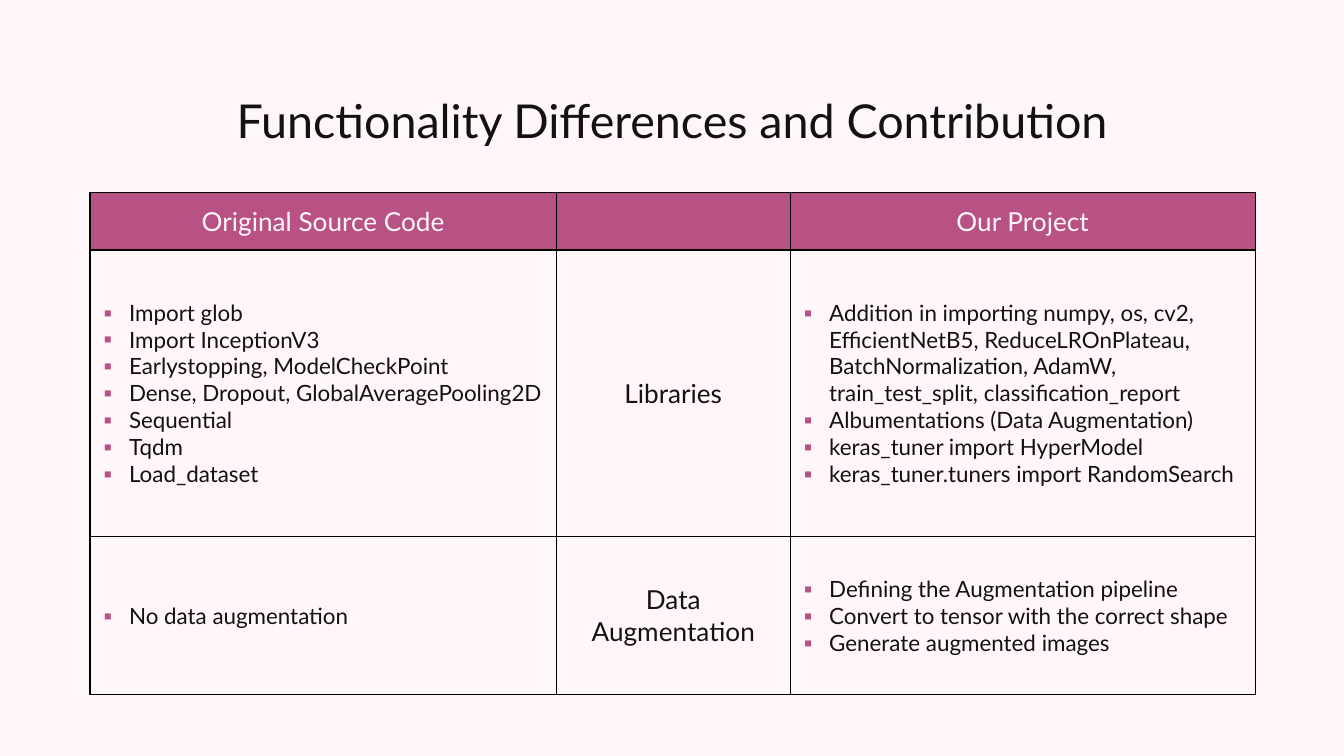
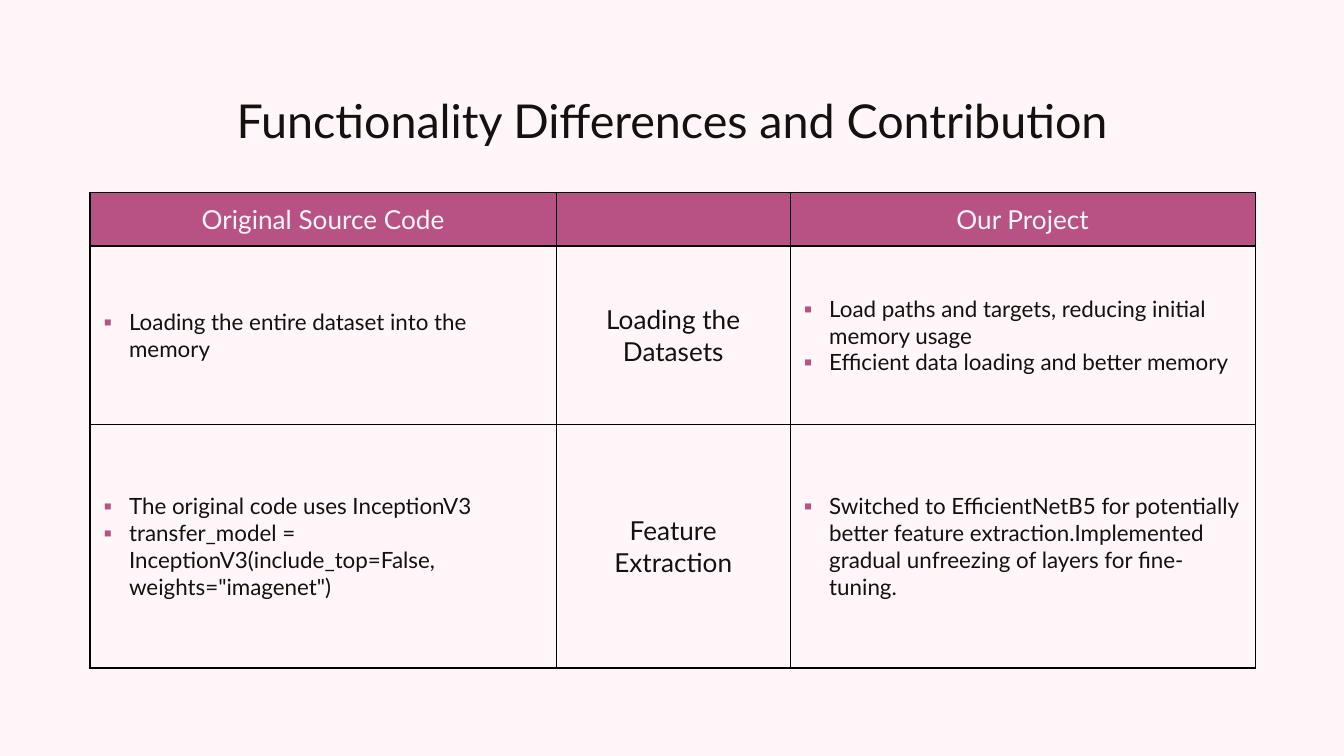
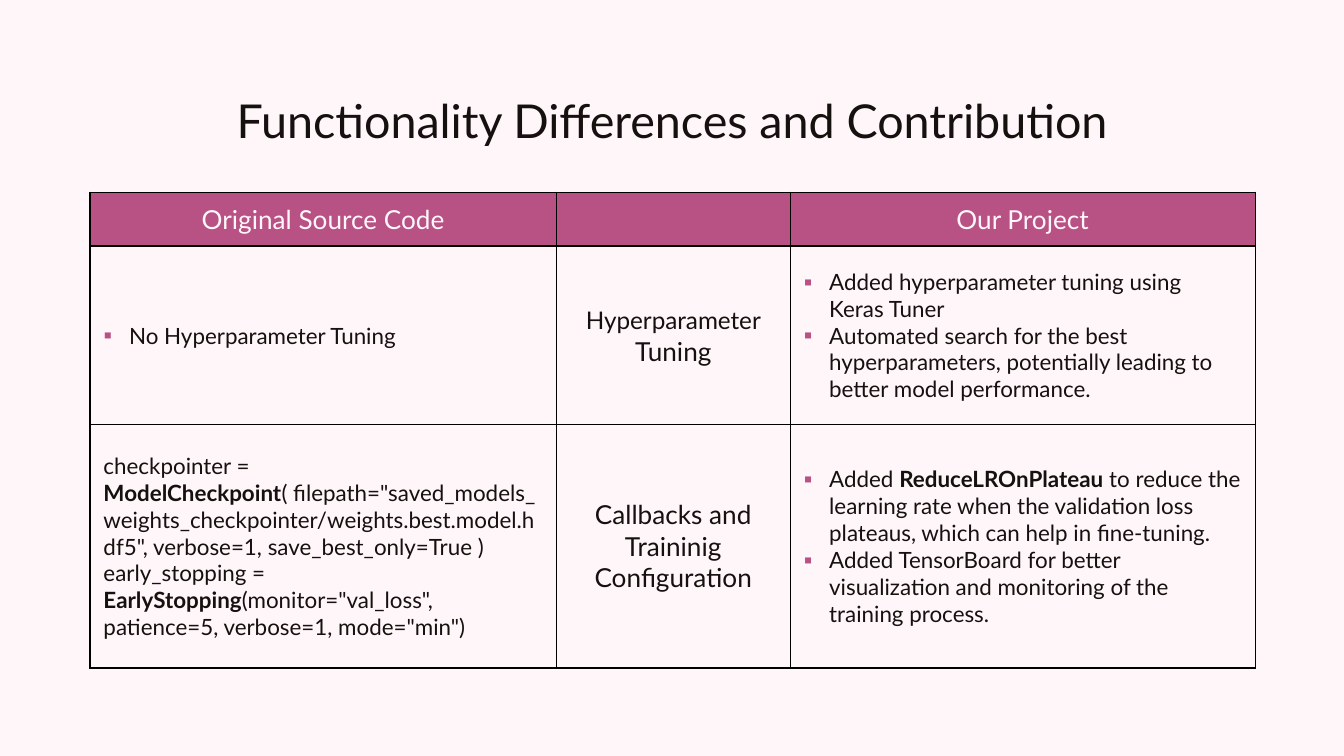
"""Build three slides that compare the source code with our project."""
from dataclasses import dataclass
from lxml import etree
from pptx import Presentation
from pptx import util as u
from pptx.dml import color
from pptx.enum import text as t
from pptx.oxml import ns

FONT = "Lato"
PALE, INK, ROSE, LINE = "FFF6FA", "15110E", "B85284", "000000"
TITLE = "Functionality Differences and Contribution"
HEAD = ("Original Source Code", "", "Our Project")
COLS = (3.47, 1.74, 3.46)


@dataclass
class Run:
    text: str
    bold: bool = False
    size: float | None = None


Para = str | list[Run]


@dataclass
class Topic:
    name: Para
    before: list[Para]
    after: list[Para]
    listed: bool = True


@dataclass
class Page:
    rows: tuple[float, ...]
    topics: list[Topic]


PAGES = [
    Page((0.43, 2.13, 1.18), [
        Topic("Libraries",
              ["Import glob", "Import InceptionV3", "Earlystopping, ModelCheckPoint",
               "Dense, Dropout, GlobalAveragePooling2D", "Sequential", "Tqdm",
               "Load_dataset"],
              ["Addition in importing numpy, os, cv2, EfficientNetB5, ReduceLROnPlateau, "
               "BatchNormalization, AdamW, train_test_split, classification_report",
               "Albumentations (Data Augmentation)", "keras_tuner import HyperModel",
               "keras_tuner.tuners import RandomSearch"]),
        Topic("Data Augmentation",
              ["No data augmentation"],
              ["Defining the Augmentation pipeline",
               "Convert to tensor with the correct shape", "Generate augmented images"]),
    ]),
    Page((0.4, 1.33, 1.81), [
        Topic("Loading the Datasets",
              ["Loading the entire dataset into the memory"],
              ["Load paths and targets, reducing initial memory usage",
               "Efficient data loading and better memory"]),
        Topic("Feature Extraction",
              ["The original code uses InceptionV3",
               'transfer_model = InceptionV3(include_top=False, weights="imagenet")'],
              ["Switched to EfficientNetB5 for potentially better feature "
               "extraction.Implemented gradual unfreezing of layers for fine-tuning."]),
    ]),
    Page((0.4, 1.33, 1.81), [
        Topic([Run("Hyperparameter", size=13), Run(" Tuning")],
              ["No Hyperparameter Tuning"],
              ["Added hyperparameter tuning using Keras Tuner",
               "Automated search for the best hyperparameters, potentially leading to "
               "better model performance."]),
        Topic("Callbacks and Traininig Configuration",
              [[Run("checkpointer = "), Run("ModelCheckpoint", True),
                Run('( filepath="saved_models_weights_checkpointer/weights.best.model.hdf5", '
                    "verbose=1, save_best_only=True ) early_stopping = "),
                Run("EarlyStopping", True),
                Run('(monitor="val_loss", patience=5, verbose=1, mode="min")')]],
              [[Run("Added "), Run("ReduceLROnPlateau", True),
                Run(" to reduce the learning rate when the validation loss plateaus, "
                    "which can help in fine-tuning.")],
               "Added TensorBoard for better visualization and monitoring of the "
               "training process."],
              listed=False),
    ]),
]


def rgb(code: str) -> color.RGBColor:
    return color.RGBColor.from_string(code)


def paint(fill, code: str) -> None:
    fill.solid()
    fill.fore_color.rgb = rgb(code)


def mark(para) -> None:
    props = para._p.get_or_add_pPr()
    props.set("marL", str(u.Inches(0.19)))
    props.set("indent", str(-u.Inches(0.19)))
    tint = etree.SubElement(props, ns.qn("a:buClr"))
    etree.SubElement(tint, ns.qn("a:srgbClr"), val=ROSE)
    etree.SubElement(props, ns.qn("a:buFont"), typeface=FONT)
    etree.SubElement(props, ns.qn("a:buChar"), char="▪")


def write(frame, paras: list[Para], *, size: float, ink: str = INK,
          align=t.PP_ALIGN.CENTER, bullet: bool = False) -> None:
    for num, item in enumerate(paras):
        para = frame.add_paragraph() if num else frame.paragraphs[0]
        para.alignment = align
        if bullet:
            mark(para)
        for part in [Run(item)] if isinstance(item, str) else item:
            run = para.add_run()
            run.text = part.text
            font = run.font
            font.name, font.bold = FONT, part.bold
            font.size = u.Pt(part.size or size)
            font.color.rgb = rgb(ink)


def border(cell) -> None:
    props = cell._tc.get_or_add_tcPr()
    for num, side in enumerate(("lnL", "lnR", "lnT", "lnB")):
        line = etree.Element(ns.qn(f"a:{side}"), w=str(u.Pt(0.75)))
        fill = etree.SubElement(line, ns.qn("a:solidFill"))
        etree.SubElement(fill, ns.qn("a:srgbClr"), val=LINE)
        props.insert(num, line)


def add_title(slide) -> None:
    title = slide.shapes.title
    title.left, title.top = u.Inches(0.78), u.Inches(0.59)
    title.width, title.height = u.Inches(8.44), u.Inches(0.6)
    frame = title.text_frame
    frame.auto_size = t.MSO_AUTO_SIZE.NONE
    frame.vertical_anchor = t.MSO_ANCHOR.MIDDLE
    frame.margin_left = frame.margin_right = u.Inches(0.1)
    frame.margin_top = frame.margin_bottom = u.Inches(0.1)
    write(frame, [TITLE], size=25)


def add_grid(slide, page: Page) -> None:
    grid = slide.shapes.add_table(
        len(page.rows), len(COLS), u.Inches(0.67), u.Inches(1.43),
        u.Inches(sum(COLS)), u.Inches(sum(page.rows))).table
    grid.horz_banding = False
    for col, wide in zip(grid.columns, COLS):
        col.width = u.Inches(wide)
    for row, high in zip(grid.rows, page.rows):
        row.height = u.Inches(high)
    for cell in grid.iter_cells():
        cell.vertical_anchor = t.MSO_ANCHOR.MIDDLE
        cell.fill.background()
        border(cell)
    for col, label in enumerate(HEAD):
        cell = grid.cell(0, col)
        paint(cell.fill, ROSE)
        write(cell.text_frame, [label], size=14, ink=PALE)
    for row, topic in enumerate(page.topics, 1):
        left, mid, right = (grid.cell(row, col).text_frame for col in range(3))
        write(left, topic.before, size=12, align=t.PP_ALIGN.LEFT, bullet=topic.listed)
        write(mid, [topic.name], size=14)
        write(right, topic.after, size=12, align=t.PP_ALIGN.LEFT, bullet=True)


def main() -> None:
    deck = Presentation()
    deck.slide_width = u.Inches(10)
    deck.slide_height = deck.slide_width * 9 // 16
    for page in PAGES:
        slide = deck.slides.add_slide(deck.slide_layouts[5])
        paint(slide.background.fill, PALE)
        add_title(slide)
        add_grid(slide, page)
    deck.save("out.pptx")


if __name__ == "__main__":
    main()
